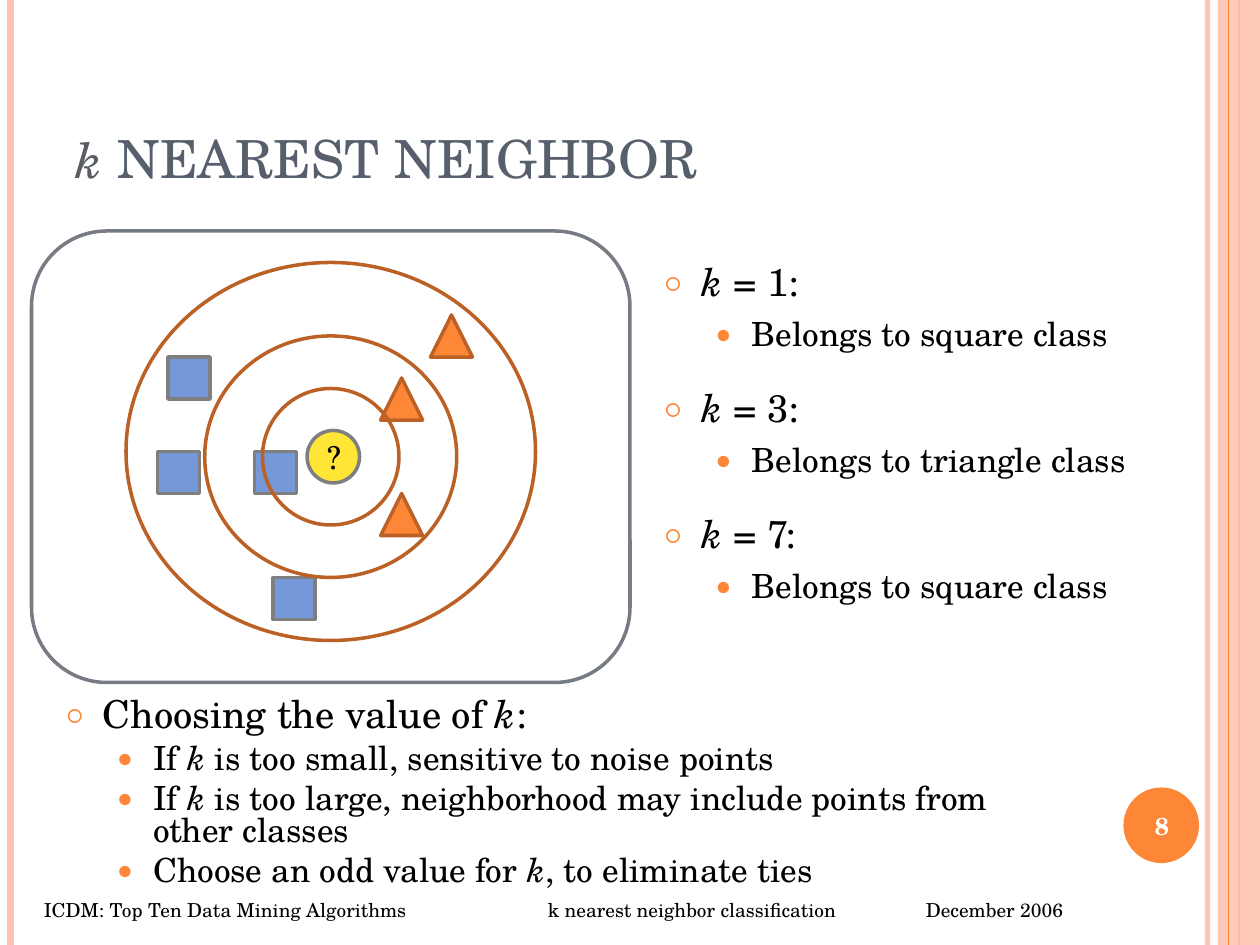
from lxml import etree
from pptx import Presentation
from pptx.dml.color import RGBColor
from pptx.enum.shapes import MSO_CONNECTOR, MSO_SHAPE
from pptx.enum.text import MSO_ANCHOR, MSO_AUTO_SIZE, PP_ALIGN
from pptx.oxml.ns import qn
from pptx.util import Pt

OVAL, RECT = MSO_SHAPE.OVAL, MSO_SHAPE.RECTANGLE
ROUND, TRI = MSO_SHAPE.ROUNDED_RECTANGLE, MSO_SHAPE.ISOSCELES_TRIANGLE
STRAIGHT = MSO_CONNECTOR.STRAIGHT
TOP, MID, LOW = MSO_ANCHOR.TOP, MSO_ANCHOR.MIDDLE, MSO_ANCHOR.BOTTOM
LEFT, CENTER = PP_ALIGN.LEFT, PP_ALIGN.CENTER
NO_FIT = MSO_AUTO_SIZE.NONE

FONT = "TeX Gyre Schola"
BLACK = RGBColor(0, 0, 0)
WHITE = RGBColor(255, 255, 255)
ORANGE = RGBColor(0xFE, 0x86, 0x37)
PEACH = RGBColor(0xFE, 0xC3, 0xAE)
BROWN = RGBColor(0xBB, 0x61, 0x26)
BLUE = RGBColor(0x75, 0x98, 0xD9)
YELLOW = RGBColor(0xFF, 0xE6, 0x36)
GRAY = RGBColor(0x7F, 0x7F, 0x7F)
STEEL = RGBColor(0x77, 0x7C, 0x84)
SLATE = RGBColor(0x57, 0x5F, 0x6D)
DUSK = RGBColor(0x59, 0x5D, 0x63)

WIDTH, HEIGHT = 720, 540
BARS = [(690, PEACH, 3, 93), (6, PEACH, 4.5, 100), (708, ORANGE, 1.5, 100)]
EDGE = (702, ORANGE, 0.75, 100)
CASES = [(1, "square"), (3, "triangle"), (7, "square")]
CHOICE = [
    (0, "Choosing the value of *k*:"),
    (1, "If *k* is too small, sensitive to noise points"),
    (1, "If *k* is too large, neighborhood may include points from other classes"),
    (1, "Choose an odd value for *k*, to eliminate ties"),
]
FOOTER = ("ICDM: Top Ten Data Mining Algorithms\t\t"
          "k nearest neighbor classification\tDecember 2006")
RINGS = [(72, 150, 234, 216), (117, 192, 144, 138), (150, 222, 78, 78)]
SQUARES = [(156, 330), (96, 204), (90, 258), (145.5, 258)]
TRIANGLES = [(246, 180), (217.5, 282), (217.5, 216)]
MARK = 24
LEVELS = [
    {"size": 22, "left": 21.6, "before": 6, "char": "○", "pct": 70},
    {"size": 19, "left": 50.4, "before": 4.8, "char": "●", "pct": 80},
]


def fade(item, pct):
    if pct < 100:
        for tint in item.element.iter(qn("a:srgbClr")):
            etree.SubElement(tint, qn("a:alpha")).set("val", str(pct * 1000))


def add_bar(left, color, weight, pct):
    bar = shapes.add_connector(STRAIGHT, Pt(left), 0, Pt(left), Pt(HEIGHT))
    bar.line.color.rgb = color
    bar.line.width = Pt(weight)
    etree.SubElement(bar.element.spPr, qn("a:effectLst"))
    fade(bar, pct)


def add_form(parent, kind, box, fill=None, line=None):
    form = parent.add_shape(kind, *map(Pt, box))
    form.shadow.inherit = False
    if fill is None:
        form.fill.background()
    else:
        form.fill.solid()
        form.fill.fore_color.rgb = fill
    if line is None:
        form.line.fill.background()
    else:
        form.line.color.rgb = line
        form.line.width = Pt(2)
    return form


def add_run(para, text, size, color=BLACK, italic=False, bold=False):
    run = para.add_run()
    run.text = text
    font = run.font
    font.name, font.size, font.italic, font.bold = FONT, Pt(size), italic, bold
    font.color.rgb = color


def set_frame(item, anchor=TOP):
    frame = item.text_frame
    frame.word_wrap = True
    frame.auto_size = NO_FIT
    frame.vertical_anchor = anchor
    return frame


def place(item, box):
    item.left, item.top, item.width, item.height = map(Pt, box)


def add_box(box):
    return shapes.add_textbox(*map(Pt, box))


def set_bullet(para, style):
    props = para._p.get_or_add_pPr()
    props.set("marL", str(Pt(style["left"])))
    props.set("indent", str(-Pt(21.6)))
    tint = etree.SubElement(props, qn("a:buClr"))
    etree.SubElement(tint, qn("a:srgbClr")).set("val", str(ORANGE))
    etree.SubElement(props, qn("a:buSzPct")).set("val", str(style["pct"] * 1000))
    etree.SubElement(props, qn("a:buFont")).set("typeface", FONT)
    etree.SubElement(props, qn("a:buChar")).set("char", style["char"])


def fill_list(frame, rows, spacing=1.0):
    for i, (level, text) in enumerate(rows):
        para = frame.add_paragraph() if i else frame.paragraphs[0]
        style = LEVELS[level]
        para.level = level
        para.line_spacing = spacing
        para.space_before = Pt(style["before"])
        set_bullet(para, style)
        for j, part in enumerate(text.split("*")):
            if part:
                add_run(para, part, style["size"], italic=j % 2 == 1)


def add_label(item, text, size, color=BLACK, bold=False):
    para = set_frame(item, MID).paragraphs[0]
    para.alignment = CENTER
    add_run(para, text, size, color, bold=bold)


deck = Presentation()
deck.slide_width, deck.slide_height = Pt(WIDTH), Pt(HEIGHT)
slide = deck.slides.add_slide(deck.slide_layouts[1])
shapes = slide.shapes

for bar in BARS:
    add_bar(*bar)
band = add_form(shapes, RECT, (696, 0, 24, HEIGHT), PEACH)
fade(band, 87)
add_bar(*EDGE)
add_form(shapes, OVAL, (642, 450, 43.2, 43.2), ORANGE)

title = shapes.title
place(title, (36, 21.6, 588, 90))
head = set_frame(title, LOW).paragraphs[0]
head.alignment = LEFT
add_run(head, "k", 28, DUSK, italic=True)
add_run(head, " NEAREST NEIGHBOR", 30, SLATE)

body = slide.placeholders[1]
place(body, (30, 396, 582, 126))
fill_list(set_frame(body), CHOICE, 0.8)

for i, (count, kind) in enumerate(CASES):
    rows = [(0, f"*k* = {count}:"), (1, f"Belongs to {kind} class")]
    fill_list(set_frame(add_box((372, 144 + 72 * i, 306, 84))), rows)

foot = set_frame(add_box((18, 510, 654, 21))).paragraphs[0]
foot._p.get_or_add_pPr().set("defTabSz", str(Pt(72)))
add_run(foot, FOOTER, 11)

add_form(shapes, OVAL, RINGS[0], line=BROWN)
group = shapes.add_group_shape().shapes
add_form(group, ROUND, (18, 132, 342, 258), line=STEEL)
for spot in SQUARES:
    add_form(group, RECT, (*spot, MARK, MARK), BLUE, GRAY)
for spot in TRIANGLES:
    add_form(group, TRI, (*spot, MARK, MARK), ORANGE, BROWN)
query = add_form(group, OVAL, (175.5, 246, 30, 30), YELLOW, GRAY)
add_label(query, "?", 18)
for ring in RINGS[1:]:
    add_form(shapes, OVAL, ring, line=BROWN)

add_label(add_box((640, 451.5, 48, 41)), "8", 14, WHITE, bold=True)

deck.save("out.pptx")
